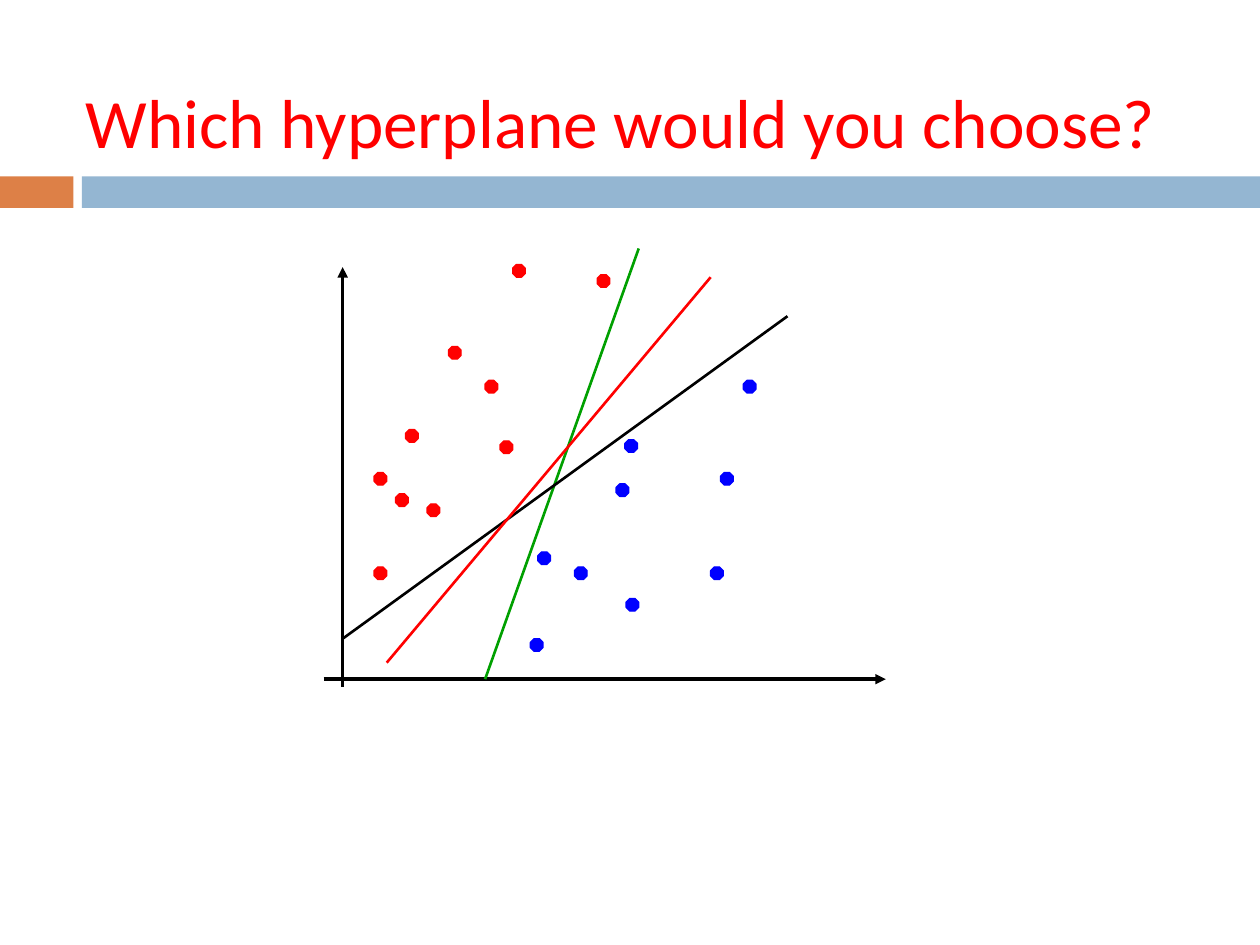
from lxml import etree
from pptx import Presentation
from pptx.dml.color import RGBColor
from pptx.enum import shapes, text
from pptx.oxml import ns
from pptx.util import Pt

RED, BLUE, GREEN, BLACK = "FF0000", "0000FF", "00A000", "000000"
DOT_SIZE = 7.2
RED_DOTS = [
    (92.2, 75.4), (46.8, 103.5), (59.1, 146), (28.8, 182), (71.3, 56),
    (28.8, 128), (41.1, 140.2), (100.8, 110), (108, 9.2), (156.3, 15),
]
BLUE_DOTS = [
    (172.1, 109.3), (143.3, 182), (221.1, 182), (118.1, 223), (167.1, 134.5),
    (122.4, 173.4), (172.8, 200), (226.8, 128), (239.8, 75.4),
]
AXES = [((10.8, 250.4), (10.8, 10.6)), ((0, 246.1), (321.2, 246.1))]
HYPERPLANES = [
    ((92.2, 246.1), (180, 0), GREEN),
    ((10.8, 223), (265, 38.7), BLACK),
    ((36, 236.7), (221.1, 16.4), RED),
]


def color(value):
    return RGBColor.from_string(value)


def add_filled(slide, kind, left, top, width, height, fill):
    shape = slide.shapes.add_shape(kind, Pt(left), Pt(top), Pt(width), Pt(height))
    shape.shadow.inherit = False
    shape.fill.solid()
    shape.fill.fore_color.rgb = color(fill)
    shape.line.fill.background()
    return shape


def add_line(slide, start, end, stroke, width, arrow=False):
    line = slide.shapes.add_connector(
        shapes.MSO_CONNECTOR.STRAIGHT, *(Pt(value) for value in (*start, *end)))
    line.line.color.rgb = color(stroke)
    line.line.width = Pt(width)
    if arrow:
        etree.SubElement(line.line._get_or_add_ln(), ns.qn("a:tailEnd"), type="triangle")
    etree.SubElement(line._element.spPr, ns.qn("a:effectLst"))


def add_band(slide, left, top, width, height):
    accent, gap = 42, 4.8
    rectangle = shapes.MSO_SHAPE.RECTANGLE
    add_filled(slide, rectangle, left, top, accent, height, "DD8047")
    offset = accent + gap
    add_filled(slide, rectangle, left + offset, top, width - offset, height, "94B6D2")


def add_title(slide, left, top, width, height):
    box = slide.shapes.add_textbox(Pt(left), Pt(top), Pt(width), Pt(height))
    frame = box.text_frame
    frame.word_wrap = True
    frame.vertical_anchor = text.MSO_ANCHOR.MIDDLE
    frame.text = "Which hyperplane would you choose?"
    font = frame.paragraphs[0].runs[0].font
    font.name = "Calibri"
    font.size = Pt(39.6)
    font.color.rgb = color(RED)


def add_plot(slide, left, top):
    def place(point):
        return left + point[0], top + point[1]

    for start, end in AXES:
        add_line(slide, place(start), place(end), BLACK, 2, arrow=True)
    for dots, fill in ((RED_DOTS, RED), (BLUE_DOTS, BLUE)):
        for dot in dots:
            shape = add_filled(slide, shapes.MSO_SHAPE.OCTAGON, *place(dot),
                               DOT_SIZE, DOT_SIZE, fill)
            shape.line.color.rgb = color(fill)
            shape.line.width = Pt(0.75)
    for start, end, stroke in HYPERPLANES:
        add_line(slide, place(start), place(end), stroke, 1.5)


def main():
    presentation = Presentation()
    presentation.slide_width = Pt(720)
    presentation.slide_height = Pt(540)
    slide = presentation.slides.add_slide(presentation.slide_layouts[6])
    add_band(slide, 0, 100.8, 720, 18)
    add_title(slide, 41.8, 30.2, 635.8, 77.8)
    add_plot(slide, 185, 142)
    presentation.save("out.pptx")


if __name__ == "__main__":
    main()
